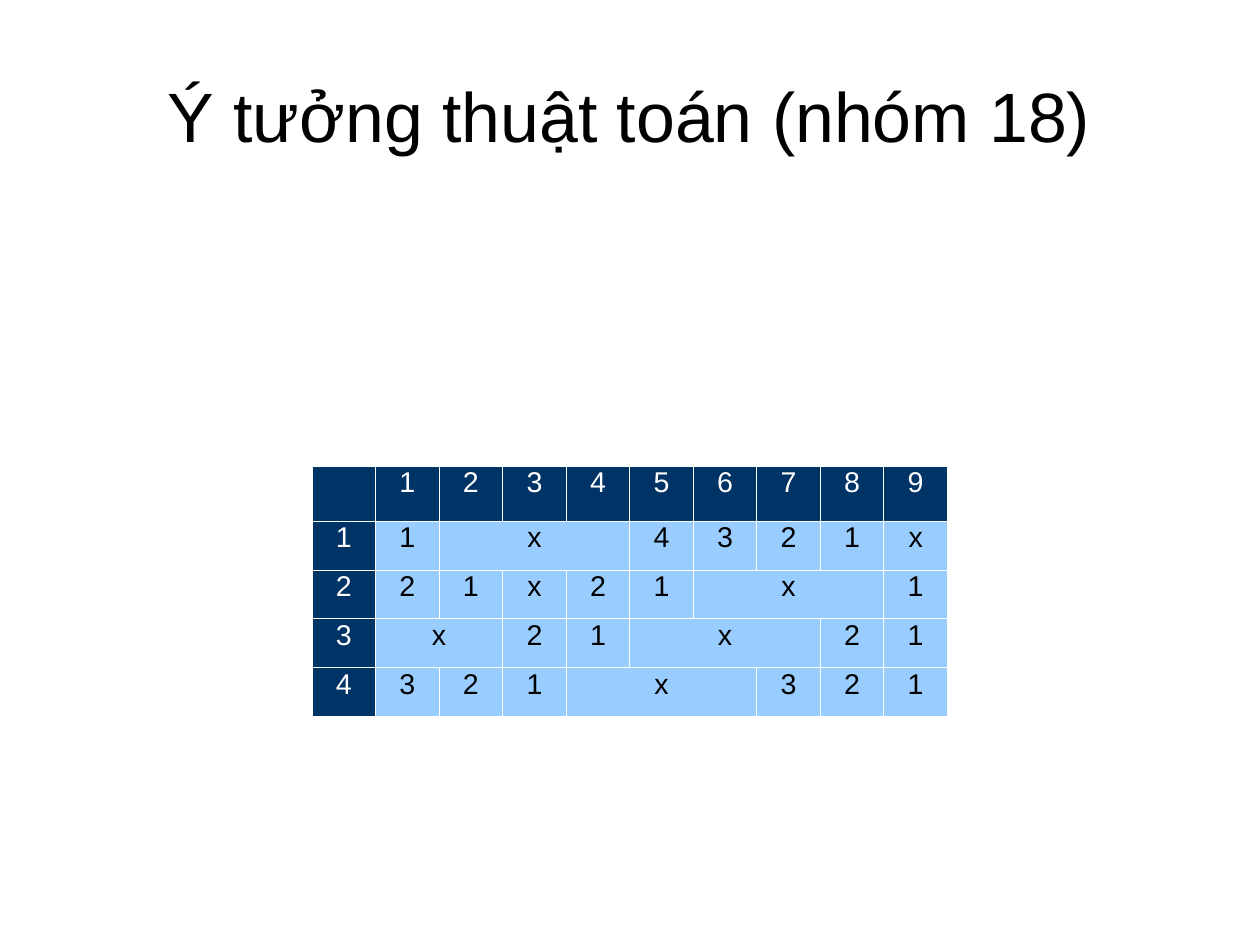
from lxml.etree import SubElement
from pptx import Presentation
from pptx.dml.color import RGBColor
from pptx.enum.text import MSO_ANCHOR, PP_ALIGN
from pptx.oxml.ns import qn
from pptx.util import Inches, Pt

BLACK = RGBColor(0x00, 0x00, 0x00)
WHITE = RGBColor(0xFF, 0xFF, 0xFF)
NAVY = RGBColor(0x00, 0x33, 0x66)
SKY = RGBColor(0x99, 0xCC, 0xFF)
FONT = "Arial"
CM_PER_INCH = 2.54

# One character per cell; "-" extends the cell on its left
GRID = [
    " 123456789",
    "11x--4321x",
    "221x21x--1",
    "3x-21x--21",
    "4321x--321",
]
HEADER_H, BODY_H = 0.48, 1.71


def write(tf, text, size, color, spacing):
    tf.text = text
    p = tf.paragraphs[0]
    p.alignment = PP_ALIGN.CENTER
    p.line_spacing = spacing
    for r in p.runs:
        r.font.name = FONT
        r.font.size = Pt(size)
        r.font.color.rgb = color


def set_borders(cell, color, width):
    tc_pr = cell._tc.get_or_add_tcPr()
    for side in ("lnL", "lnR", "lnT", "lnB"):
        ln = SubElement(tc_pr, qn(f"a:{side}"), w=str(Pt(width)))
        fill = SubElement(ln, qn("a:solidFill"))
        SubElement(fill, qn("a:srgbClr"), val=str(color))


def add_title(slide, text, left, top, width, height):
    sp = slide.shapes.add_textbox(Inches(left), Inches(top), Inches(width), Inches(height))
    tf = sp.text_frame
    tf.word_wrap = True
    tf.vertical_anchor = MSO_ANCHOR.MIDDLE
    tf.margin_left = tf.margin_right = tf.margin_bottom = 0
    tf.margin_top = Inches(0.04)
    write(tf, text, 44, BLACK, 0.93)


def add_grid(slide, grid, left, top, width):
    n_rows, n_cols = len(grid), len(grid[0])
    table = slide.shapes.add_table(n_rows, n_cols, Inches(left), Inches(top),
                                   Inches(width), Inches(HEADER_H + BODY_H)).table
    for col in table.columns:
        col.width = Inches(width / n_cols)
    for i, row in enumerate(table.rows):
        row.height = Inches(BODY_H / (n_rows - 1) if i else HEADER_H)

    for i, marks in enumerate(grid):
        for j, mark in enumerate(marks):
            cell = table.cell(i, j)
            is_header = i == 0 or j == 0
            set_borders(cell, WHITE, 0.57)
            cell.fill.solid()
            cell.fill.fore_color.rgb = NAVY if is_header else SKY
            cell.margin_left = cell.margin_right = Inches(0.1)
            cell.margin_top = cell.margin_bottom = Inches(0.05)
            if mark in " -":
                continue
            write(cell.text_frame, mark, 18, WHITE if is_header else BLACK, 0.81)
            # Merge with the extension marks that follow
            rest = marks[j + 1:]
            span = len(rest) - len(rest.lstrip("-"))
            if span:
                cell.merge(table.cell(i, j + span))


# Slide of 28 by 21 cm
prs = Presentation()
prs.slide_width = Inches(28 / CM_PER_INCH)
prs.slide_height = Inches(21 / CM_PER_INCH)
slide = prs.slides.add_slide(prs.slide_layouts[6])
add_title(slide, "Ý tưởng thuật toán (nhóm 18)", 0.55, 0.33, 9.92, 1.38)
add_grid(slide, GRID, 2.73, 4.08, 5.56)
prs.save("out.pptx")
